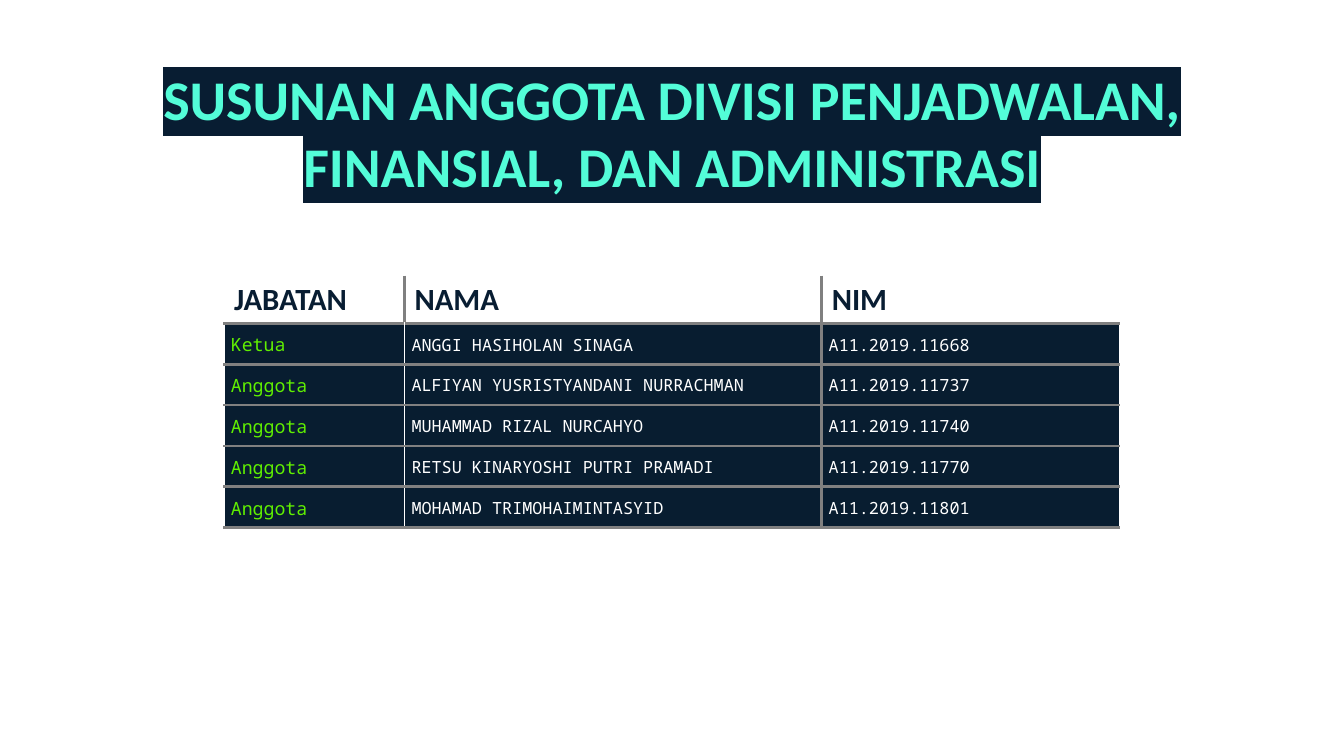
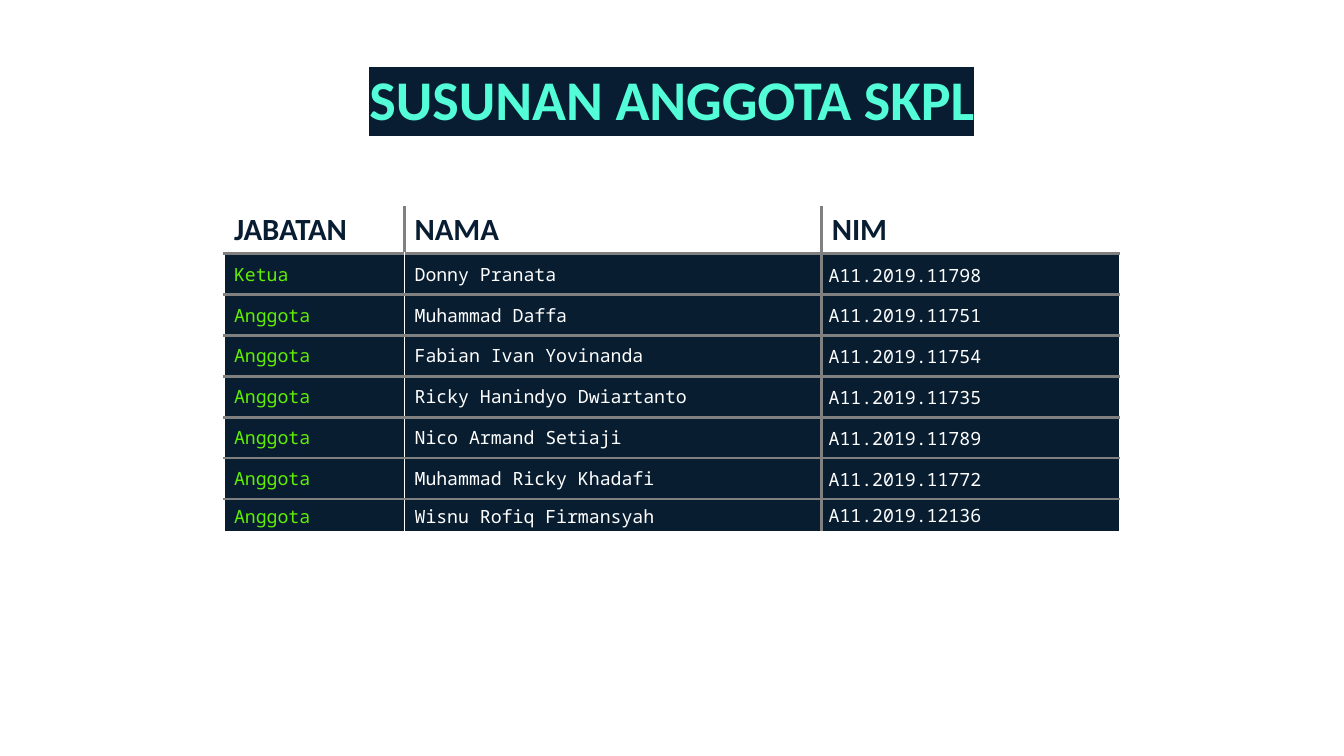
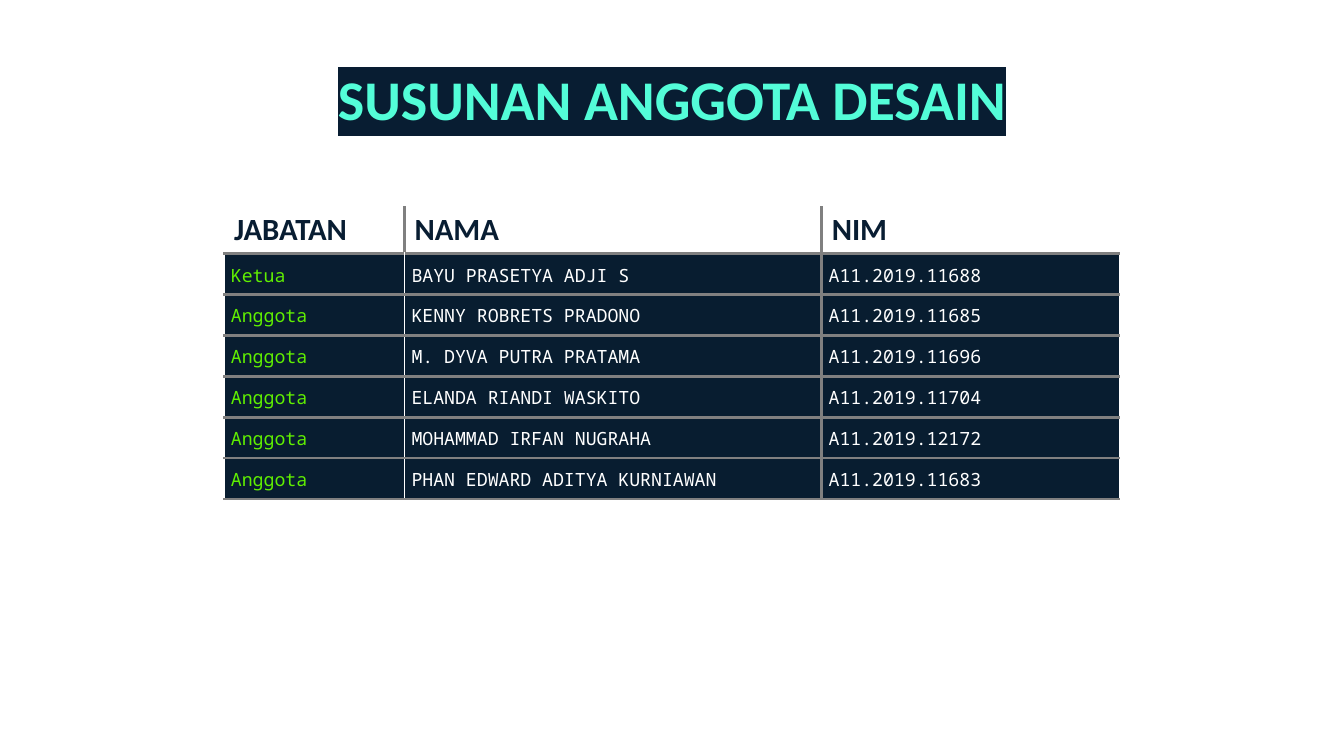
from dataclasses import dataclass

from lxml.etree import SubElement
from pptx import Presentation
from pptx.dml.color import RGBColor
from pptx.enum.text import MSO_ANCHOR, PP_ALIGN
from pptx.oxml.ns import qn
from pptx.util import Pt

# Content
HEADINGS = ("JABATAN", "NAMA", "NIM")
DIVISIONS = [
    {
        "title": "SUSUNAN ANGGOTA DIVISI PENJADWALAN, FINANSIAL, DAN ADMINISTRASI",
        "top": 197.3,
        "member_size": 12,
        "members": [
            ("Ketua", "ANGGI HASIHOLAN SINAGA", "A11.2019.11668"),
            ("Anggota", "ALFIYAN YUSRISTYANDANI NURRACHMAN", "A11.2019.11737"),
            ("Anggota", "MUHAMMAD RIZAL NURCAHYO", "A11.2019.11740"),
            ("Anggota", "RETSU KINARYOSHI PUTRI PRAMADI", "A11.2019.11770"),
            ("Anggota", "MOHAMAD TRIMOHAIMINTASYID", "A11.2019.11801"),
        ],
    },
    {
        "title": "SUSUNAN ANGGOTA SKPL",
        "top": 147.6,
        "tight_columns": (2,),
        "highlight_roles": True,
        "open_bottom": True,
        "members": [
            ("Ketua", "Donny Pranata", "A11.2019.11798"),
            ("Anggota", "Muhammad Daffa", "A11.2019.11751"),
            ("Anggota", "Fabian Ivan Yovinanda", "A11.2019.11754"),
            ("Anggota", "Ricky Hanindyo Dwiartanto", "A11.2019.11735"),
            ("Anggota", "Nico Armand Setiaji", "A11.2019.11789"),
            ("Anggota", "Muhammad Ricky Khadafi", "A11.2019.11772"),
            ("Anggota", "Wisnu Rofiq Firmansyah", "A11.2019.12136"),
        ],
    },
    {
        "title": "SUSUNAN ANGGOTA DESAIN",
        "top": 147.6,
        "members": [
            ("Ketua", "BAYU PRASETYA ADJI S", "A11.2019.11688"),
            ("Anggota", "KENNY ROBRETS PRADONO", "A11.2019.11685"),
            ("Anggota", "M. DYVA PUTRA PRATAMA", "A11.2019.11696"),
            ("Anggota", "ELANDA RIANDI WASKITO", "A11.2019.11704"),
            ("Anggota", "MOHAMMAD IRFAN NUGRAHA", "A11.2019.12172"),
            ("Anggota", "PHAN EDWARD ADITYA KURNIAWAN", "A11.2019.11683"),
        ],
    },
]


# Shared look
@dataclass(frozen=True)
class Theme:
    navy: str = "081D32"
    cell: str = "081D30"
    mint: str = "53FDD8"
    green: str = "60EF01"
    white: str = "FFFFFF"
    grey: str = "808080"
    heading_font: str = "Calibri"
    body_font: str = "Noto Sans Mono"
    title_size: float = 40
    heading_size: float = 22
    body_size: float = 13


THEME = Theme()
THIN = (THEME.white, 1)
RULE = (THEME.grey, 2.25)

# Layout, in points
SLIDE_WIDTH, SLIDE_HEIGHT = 960, 540
TITLE_TOP, TITLE_WIDTH, TITLE_HEIGHT, TITLE_INSET = 38.9, 808.6, 60.5, 7.2
COLUMN_WIDTHS = (129, 298, 213)
HEADING_HEIGHT, MEMBER_HEIGHT, OPEN_HEIGHT = 33.6, 29.2, 23
TIGHT_INSET = 5


def style_run(run, font, size, color, bold=False, highlight=None):
    run.font.name, run.font.size, run.font.bold = font, Pt(size), bold
    run.font.color.rgb = RGBColor.from_string(color)
    if highlight:
        properties = run.font._element
        mark = SubElement(properties, qn("a:highlight"))
        SubElement(mark, qn("a:srgbClr"), val=highlight)
        properties.find(qn("a:solidFill")).addnext(mark)


def add_title(slide, title):
    box = slide.shapes.add_textbox(Pt((SLIDE_WIDTH - TITLE_WIDTH) / 2), Pt(TITLE_TOP),
                                   Pt(TITLE_WIDTH), Pt(TITLE_HEIGHT))
    frame = box.text_frame
    frame.word_wrap = True
    frame.margin_left = frame.margin_right = Pt(TITLE_INSET)
    frame.margin_top = frame.margin_bottom = Pt(TITLE_INSET)
    frame.text = title
    paragraph = frame.paragraphs[0]
    paragraph.alignment = PP_ALIGN.CENTER
    style_run(paragraph.runs[0], THEME.heading_font, THEME.title_size, THEME.mint,
              bold=True, highlight=THEME.navy)


def set_borders(cell, left, right, top, bottom):
    properties = cell._tc.get_or_add_tcPr()
    borders = {"a:lnL": left, "a:lnR": right, "a:lnT": top, "a:lnB": bottom}
    for tag, (color, width) in borders.items():
        line = SubElement(properties, qn(tag), w=str(Pt(width)))
        SubElement(SubElement(line, qn("a:solidFill")), qn("a:srgbClr"), val=color)


def tighten(cell):
    cell.margin_left = cell.margin_right = Pt(TIGHT_INSET)
    cell.margin_top = cell.margin_bottom = 0
    paragraph = cell.text_frame.paragraphs[0]
    paragraph.line_spacing, paragraph.space_after = 1.07, Pt(8)


def add_members(slide, division):
    rows = [HEADINGS, *division["members"]]
    last = len(rows) - 1
    open_bottom = division.get("open_bottom", False)
    tight_columns = division.get("tight_columns", (0, 1, 2))
    heights = [HEADING_HEIGHT] + [MEMBER_HEIGHT] * last
    if open_bottom:
        heights[-1] = OPEN_HEIGHT

    width = sum(COLUMN_WIDTHS)
    table = slide.shapes.add_table(len(rows), len(HEADINGS), Pt((SLIDE_WIDTH - width) / 2),
                                   Pt(division["top"]), Pt(width), Pt(sum(heights))).table
    table.first_row = table.horz_banding = False
    for column, column_width in zip(table.columns, COLUMN_WIDTHS):
        column.width = Pt(column_width)

    for r, (values, height) in enumerate(zip(rows, heights)):
        table.rows[r].height = Pt(height)
        is_heading = r == 0
        verticals = (THIN, RULE if is_heading else THIN, RULE, THIN)
        top = THIN if is_heading else RULE
        bottom = THIN if open_bottom and r == last else RULE
        for c, value in enumerate(values):
            cell = table.cell(r, c)
            cell.text_frame.text = value
            set_borders(cell, verticals[c], verticals[c + 1], top, bottom)
            cell.fill.solid()
            cell.fill.fore_color.rgb = RGBColor.from_string(
                THEME.white if is_heading else THEME.cell)
            run = cell.text_frame.paragraphs[0].runs[0]
            if is_heading:
                style_run(run, THEME.heading_font, THEME.heading_size, THEME.navy, bold=True)
                continue
            cell.vertical_anchor = MSO_ANCHOR.MIDDLE
            if c in tight_columns:
                tighten(cell)
            if c == 0:
                style_run(run, THEME.body_font, THEME.body_size, THEME.green,
                          highlight=THEME.navy if division.get("highlight_roles") else None)
            else:
                style_run(run, THEME.body_font,
                          division.get("member_size", THEME.body_size), THEME.white)


def main():
    deck = Presentation()
    deck.slide_width, deck.slide_height = Pt(SLIDE_WIDTH), Pt(SLIDE_HEIGHT)
    blank = deck.slide_layouts[6]
    for division in DIVISIONS:
        slide = deck.slides.add_slide(blank)
        add_title(slide, division["title"])
        add_members(slide, division)
    deck.save("out.pptx")


if __name__ == "__main__":
    main()
